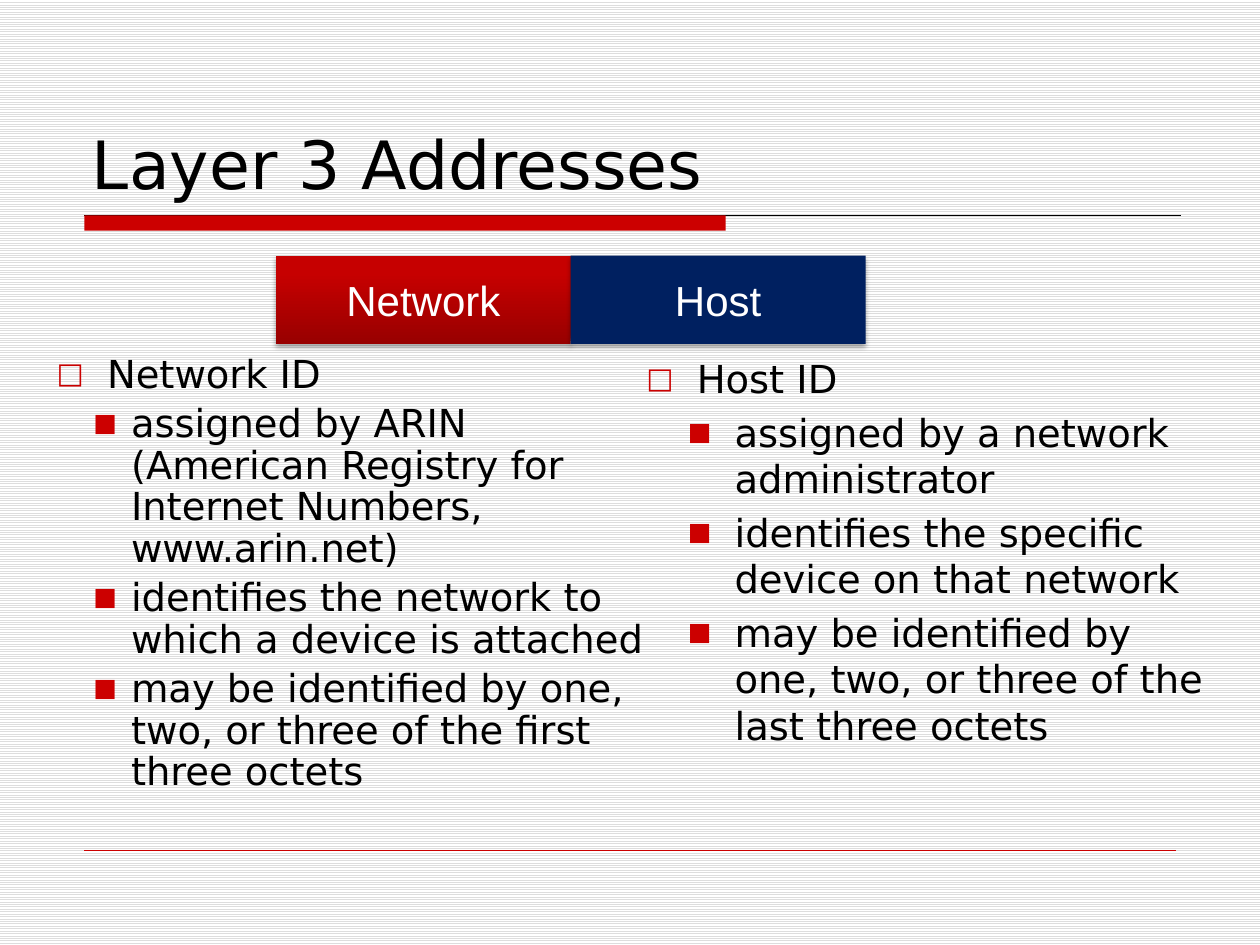
from dataclasses import dataclass

from lxml import etree
from pptx import Presentation
from pptx import util as u
from pptx.dml.color import RGBColor
from pptx.enum import dml, shapes, text
from pptx.oxml import parse_xml
from pptx.oxml.ns import nsdecls, qn

RED, NAVY, BLACK, WHITE = "CC0000", "002060", "000000", "FFFFFF"
BODY_FONT = "DejaVu Sans"


@dataclass
class Level:
    margin: float
    hanging: float
    bullet: str
    bullet_size: int


@dataclass
class Column:
    box: tuple[float, float, float, float]
    heading: str
    points: list[str]
    levels: tuple[Level, Level]
    line_spacing: float


@dataclass
class AddressPart:
    label: str
    left: float
    stops: tuple[str, ...]  # one colour is solid, two run from bottom to top


COLUMNS = [
    Column((0.35, 2.77, 5.12, 4.5), "Network ID",
           ["assigned by ARIN (American Registry for Internet Numbers, www.arin.net)",
            "identifies the network to which a device is attached",
            "may be identified by one, two, or three of the first three octets"],
           (Level(0.4, 0.4, "□", 75), Level(0.59, 0.3, "■", 65)), 0.9),
    Column((4.84, 2.77, 4.92, 4.5), "Host ID",
           ["assigned by a network administrator",
            "identifies the specific device on that network",
            "may be identified by one, two, or three of the last three octets"],
           (Level(0.59, 0.4, "□", 75), Level(0.89, 0.37, "■", 65)), 1.0),
]
PART_W = 2.34
PARTS = [AddressPart("Network", 2.19, ("980000", "C60000")),
         AddressPart("Host", 2.19 + PART_W, (NAVY,))]


def rgb(value: str) -> RGBColor:
    return RGBColor.from_string(value)


def place(sp, left: float, top: float, width: float, height: float) -> None:
    sp.left, sp.top = u.Inches(left), u.Inches(top)
    sp.width, sp.height = u.Inches(width), u.Inches(height)


def add_run(p, words: str, size: float, font: str, color: str) -> None:
    r = p.add_run()
    r.text = words
    r.font.size, r.font.name = u.Pt(size), font
    r.font.color.rgb = rgb(color)


def add_rule(s, left: float, right: float, top: float, color: str, width: float) -> None:
    line = s.shapes.add_connector(shapes.MSO_CONNECTOR.STRAIGHT, u.Inches(left),
                                  u.Inches(top), u.Inches(right), u.Inches(top))
    line.line.color.rgb = rgb(color)
    line.line.width = u.Pt(width)
    etree.SubElement(line._element.spPr, qn("a:effectLst"))


def add_rect(s, left: float, top: float, width: float, height: float):
    sp = s.shapes.add_shape(shapes.MSO_SHAPE.RECTANGLE, 0, 0, 0, 0)
    place(sp, left, top, width, height)
    sp.shadow.inherit = False
    sp.line.fill.background()
    return sp


def set_bullet(p, level: Level) -> None:
    pPr = p._p.get_or_add_pPr()
    pPr.set("marL", str(u.Inches(level.margin)))
    pPr.set("indent", str(-u.Inches(level.hanging)))
    for xml in (f'<a:buClr {nsdecls("a")}><a:srgbClr val="{RED}"/></a:buClr>',
                f'<a:buSzPct {nsdecls("a")} val="{level.bullet_size * 1000}"/>',
                f'<a:buFont {nsdecls("a")} typeface="{BODY_FONT}"/>',
                f'<a:buChar {nsdecls("a")} char="{level.bullet}"/>'):
        pPr.append(parse_xml(xml))


def fill_column(sp, column: Column) -> None:
    place(sp, *column.box)
    tf = sp.text_frame
    tf.auto_size = text.MSO_AUTO_SIZE.NONE
    for i, words in enumerate([column.heading, *column.points]):
        p = tf.add_paragraph() if i else tf.paragraphs[0]
        p.level = min(i, 1)
        set_bullet(p, column.levels[p.level])
        p.line_spacing = column.line_spacing
        p.space_before = u.Pt(4.4 if i else 0)
        add_run(p, words, 22, BODY_FONT, BLACK)


def add_part(s, part: AddressPart) -> None:
    sp = add_rect(s, part.left, 2.03, PART_W, 0.7)
    if len(part.stops) == 1:
        sp.fill.solid()
        sp.fill.fore_color.rgb = rgb(part.stops[0])
    else:
        sp.fill.gradient()
        sp.fill.gradient_angle = 90
        for stop, color, position in zip(sp.fill.gradient_stops, part.stops, (0, 0.8)):
            stop.color.rgb = rgb(color)
            stop.position = position
    effects = sp._element.spPr.find(qn("a:effectLst"))
    effects.append(parse_xml(
        f'<a:outerShdw {nsdecls("a")} blurRad="{u.Pt(3.1)}" dist="{u.Pt(1.8)}" '
        f'dir="5400000" rotWithShape="0"><a:srgbClr val="{BLACK}">'
        '<a:alpha val="35000"/></a:srgbClr></a:outerShdw>'))
    tf = sp.text_frame
    tf.vertical_anchor = text.MSO_ANCHOR.MIDDLE
    p = tf.paragraphs[0]
    p.alignment = text.PP_ALIGN.CENTER
    add_run(p, part.label, 24, "Arial", WHITE)


def main() -> None:
    prs = Presentation()
    prs.slide_width, prs.slide_height = u.Inches(10), u.Inches(7.5)
    s = prs.slides.add_slide(prs.slide_layouts[3])
    bg = s.background.fill
    bg.patterned()
    bg.pattern = dml.MSO_PATTERN.LIGHT_HORIZONTAL
    bg.fore_color.rgb, bg.back_color.rgb = rgb("DDDDDD"), rgb(WHITE)

    title, *bodies = s.placeholders
    place(title, 0.63, 0.33, 8.75, 1.33)
    tf = title.text_frame
    tf.auto_size = text.MSO_AUTO_SIZE.NONE
    tf.vertical_anchor = text.MSO_ANCHOR.BOTTOM
    tf.paragraphs[0].alignment = text.PP_ALIGN.LEFT
    add_run(tf.paragraphs[0], "Layer 3 Addresses", 38, BODY_FONT, BLACK)

    add_rule(s, 0.67, 9.37, 1.71, BLACK, 0.75)
    bar = add_rect(s, 0.67, 1.71, 5.09, 0.12)
    bar.fill.solid()
    bar.fill.fore_color.rgb = rgb(RED)
    add_rule(s, 0.67, 9.33, 6.75, RED, 0.25)

    for sp, column in zip(bodies, COLUMNS):
        fill_column(sp, column)
    for part in PARTS:
        add_part(s, part)
    prs.save("out.pptx")


if __name__ == "__main__":
    main()
